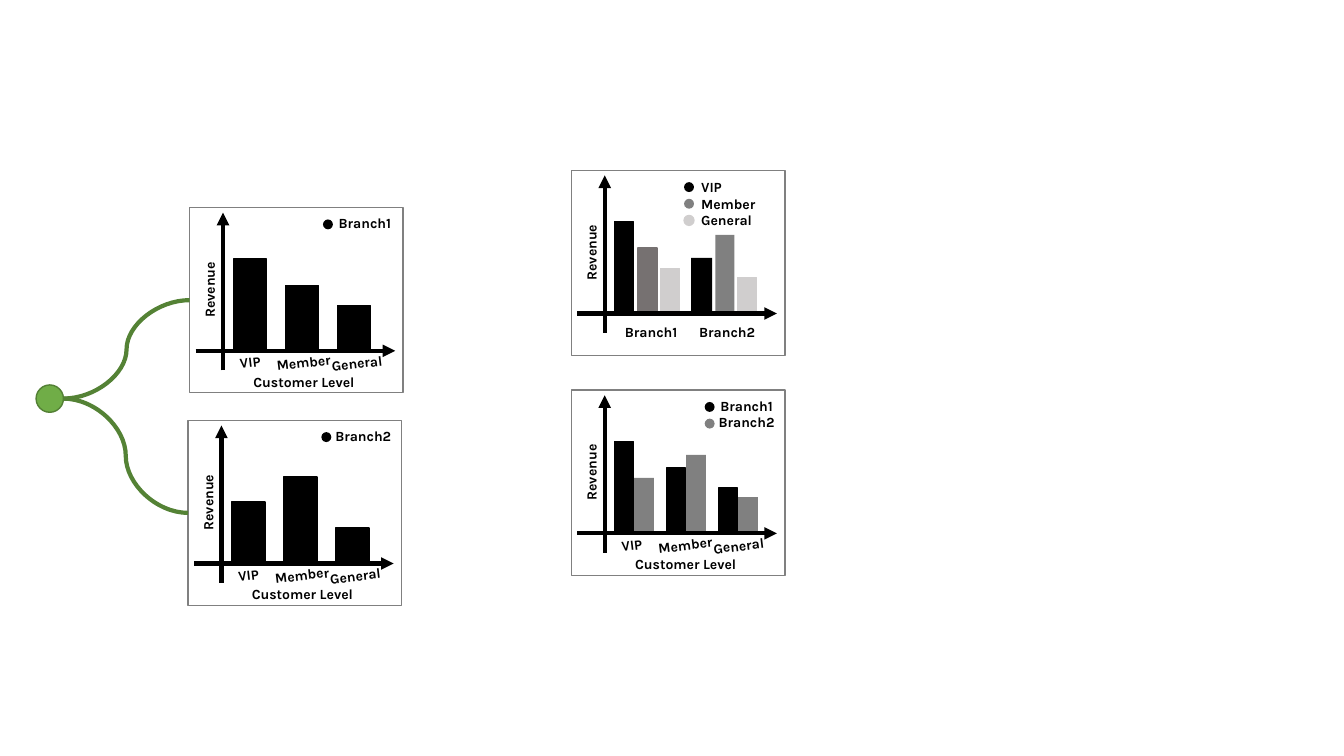
from lxml.etree import SubElement
from pptx import Presentation
from pptx.dml.color import RGBColor
from pptx.enum.shapes import MSO_CONNECTOR, MSO_SHAPE
from pptx.enum.text import PP_ALIGN
from pptx.oxml.ns import qn
from pptx.util import Cm, Pt

BLACK, GRAY, WARM, LIGHT = "000000", "808080", "767171", "D0CECE"
LEVELS = ("VIP", "Member", "General")

# Content: bars are (left, width, height, colour, outlined), lengths in cm
BASELINE, LEVEL_STEP = 3.61, 1.31
BRANCH1_HEIGHTS = (2.31, 1.65, 1.14)
BRANCH2_HEIGHTS = (1.4, 1.98, 0.91)


def level_bars(heights, left, width, color=BLACK, outlined=True):
    return [(left + i * LEVEL_STEP, width, height, color, outlined)
            for i, height in enumerate(heights)]


BRANCH_BARS = [
    (1.09, 0.48, 2.31, BLACK, True),
    (1.68, 0.48, 1.65, WARM, True),
    (2.24, 0.48, 1.14, LIGHT, True),
    (3.02, 0.53, 1.4, BLACK, False),
    (3.63, 0.48, 1.98, GRAY, False),
    (4.19, 0.48, 0.91, LIGHT, True),
]

# Labels: (text, left, top, width, rotation)
LEVEL_LABELS = [
    ("Customer Level", 1.23, 4.05, 3.3, 0),
    ("VIP", 0.99, 3.56, 1.07, -6.8),
    ("Member", 1.93, 3.56, 1.88, -6.8),
    ("General", 3.3, 3.58, 1.83, -6.8),
]
BRANCH_LABELS = [
    ("Branch1", 0.97, 3.73, 2.08, 0),
    ("Branch2", 2.82, 3.73, 2.21, 0),
]

PANELS = [
    {"at": (14.4, 9.83), "labels": LEVEL_LABELS,
     "legend": [("Branch1", BLACK), ("Branch2", GRAY)],
     "bars": level_bars(BRANCH1_HEIGHTS, 1.09, 0.48)
     + level_bars(BRANCH2_HEIGHTS, 1.58, 0.5, GRAY, False)},
    {"at": (14.4, 4.29), "labels": BRANCH_LABELS,
     "legend": list(zip(LEVELS, (BLACK, GRAY, LIGHT))),
     "bars": BRANCH_BARS},
    {"at": (4.78, 5.23), "labels": LEVEL_LABELS,
     "legend": [("Branch1", BLACK)],
     "bars": level_bars(BRANCH1_HEIGHTS, 1.1, 0.84)},
    {"at": (4.74, 10.59), "labels": LEVEL_LABELS,
     "legend": [("Branch2", BLACK)],
     "bars": level_bars((1.55, 2.18, 0.89), 1.1, 0.84)},
]
PANEL_WIDTH, PANEL_HEIGHT = 5.38, 4.67
LABEL_HEIGHT = 0.69


def paint(color_format, color):
    color_format.rgb = RGBColor.from_string(color)


def add_solid(shapes, kind, left, top, width, height, fill, line=None):
    shape = shapes.add_shape(kind, Cm(left), Cm(top), Cm(width), Cm(height))
    shape.shadow.inherit = False
    shape.fill.solid()
    paint(shape.fill.fore_color, fill)
    if line:
        paint(shape.line.color, line)
        shape.line.width = Pt(1)
    else:
        shape.line.fill.background()
    return shape


def add_line(shapes, kind, start, end, color, arrow=False):
    line = shapes.add_connector(kind, Cm(start[0]), Cm(start[1]),
                                Cm(end[0]), Cm(end[1]))
    paint(line.line.color, color)
    line.line.width = Pt(3)
    if arrow:
        SubElement(line.line._get_or_add_ln(), qn("a:tailEnd"), type="triangle")
    SubElement(line._element.spPr, qn("a:effectLst"))


def add_label(shapes, text, left, top, width, rotation=0, centered=True):
    box = shapes.add_textbox(Cm(left), Cm(top), Cm(width), Cm(LABEL_HEIGHT))
    box.rotation = rotation
    frame = box.text_frame
    frame.word_wrap = True
    if centered:
        frame.margin_left = frame.margin_right = 0
    frame.text = text
    para = frame.paragraphs[0]
    para.alignment = PP_ALIGN.CENTER if centered else PP_ALIGN.LEFT
    font = para.runs[0].font
    font.name, font.size, font.bold = "Karla", Pt(10), True
    paint(font.color, BLACK)


def add_panel(page, panel):
    x, y = panel["at"]
    shapes = page.shapes.add_group_shape().shapes
    add_solid(shapes, MSO_SHAPE.RECTANGLE, x, y, PANEL_WIDTH, PANEL_HEIGHT,
              "FFFFFF", GRAY)

    # Bars stand on the baseline
    for left, width, height, color, outlined in panel["bars"]:
        add_solid(shapes, MSO_SHAPE.RECTANGLE, x + left, y + BASELINE - height,
                  width, height, color, color if outlined else None)

    # Axes
    for start, end in (((0.84, 4.1), (0.84, 0.13)),
                       ((0.15, BASELINE), (5.18, BASELINE))):
        add_line(shapes, MSO_CONNECTOR.STRAIGHT, (x + start[0], y + start[1]),
                 (x + end[0], y + end[1]), BLACK, arrow=True)
    add_label(shapes, "Revenue", x - 0.89, y + 1.73, 2.79, 270)
    for text, left, top, width, rotation in panel["labels"]:
        add_label(shapes, text, x + left, y + top, width, rotation)

    # Legend
    by_level = len(panel["legend"]) == len(LEVELS)
    dot_left, text_left = (2.84, 3.02) if by_level else (3.36, 3.4)
    text_top = 0.08 if by_level else 0.05
    for row, (text, color) in enumerate(panel["legend"]):
        step = row * 0.42
        add_solid(shapes, MSO_SHAPE.OVAL, x + dot_left, y + 0.3 + step,
                  0.25, 0.25, color, LIGHT if color == LIGHT else None)
        add_label(shapes, text, x + text_left, y + text_top + step,
                  2.2 if by_level else 2.03, centered=not by_level)


def main():
    deck = Presentation()
    deck.slide_width, deck.slide_height = Cm(33.87), Cm(19.05)
    page = deck.slides.add_slide(deck.slide_layouts[6])
    for panel in PANELS:
        add_panel(page, panel)

    # Hub with a curve to each single-branch panel
    hub_left, hub_top, hub_size = 0.91, 9.7, 0.69
    add_solid(page.shapes, MSO_SHAPE.OVAL, hub_left, hub_top,
              hub_size, hub_size, "70AD47", "538035")
    hub_right = (hub_left + hub_size, hub_top + hub_size / 2)
    for panel in PANELS[2:]:
        x, y = panel["at"]
        add_line(page.shapes, MSO_CONNECTOR.CURVE, hub_right,
                 (x, y + PANEL_HEIGHT / 2), "548235")
    deck.save("out.pptx")


if __name__ == "__main__":
    main()
